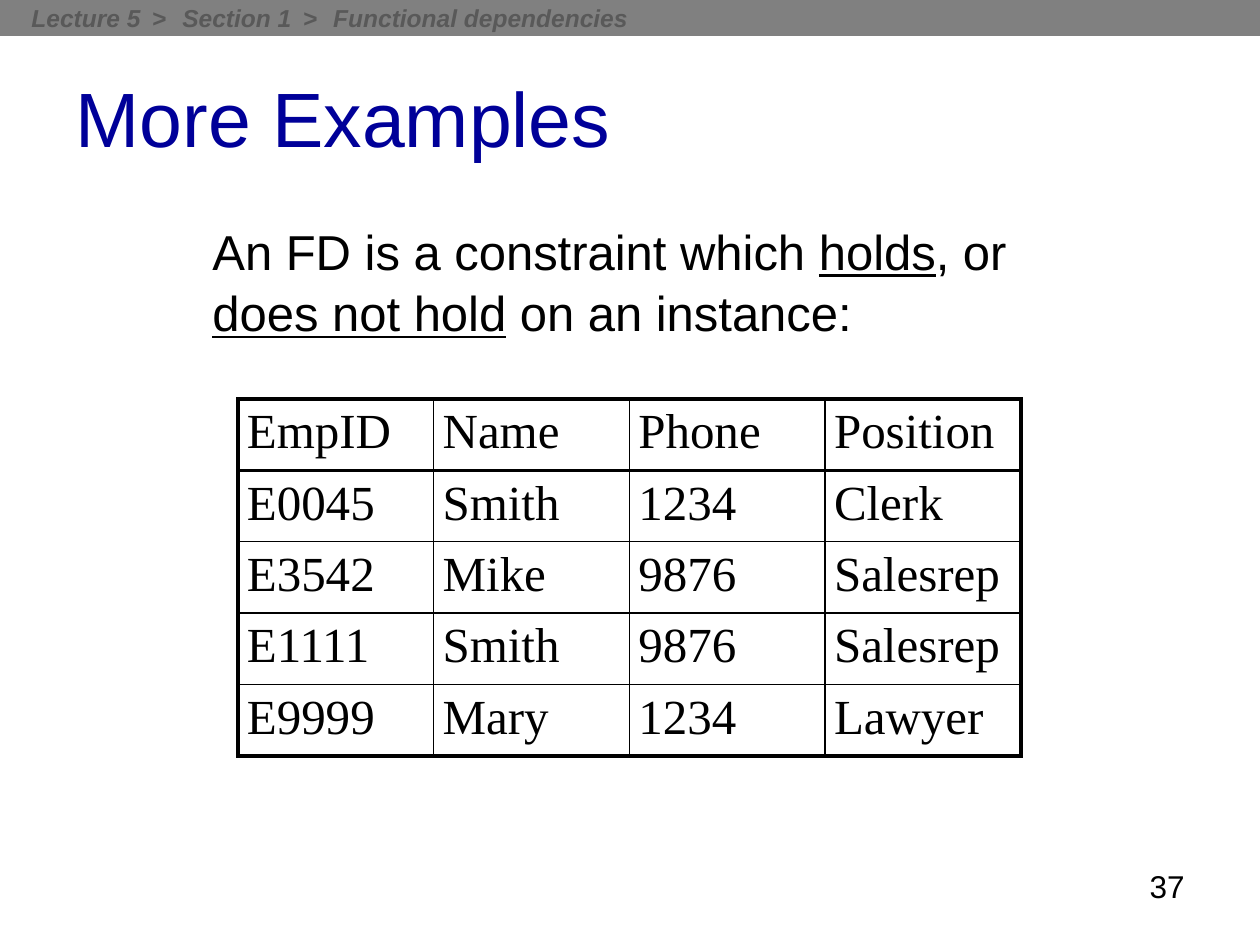
from pptx import Presentation
from pptx.dml.color import RGBColor
from pptx.enum.shapes import MSO_SHAPE as SHAPE
from pptx.enum.text import MSO_ANCHOR as ANCHOR, PP_ALIGN as ALIGN
from pptx.oxml import parse_xml
from pptx.oxml.ns import nsdecls
from pptx.util import Pt

PX = 914400 // 126  # EMU per px
BLACK = RGBColor(0x00, 0x00, 0x00)
NAVY = RGBColor(0x00, 0x00, 0x99)
GRAY = RGBColor(0x80, 0x80, 0x80)
DARK_GRAY = RGBColor(0x59, 0x59, 0x59)
SANS, SERIF = "Arial", "Times New Roman"
THIN, THICK = Pt(1), Pt(2.25)

ROWS = [
    ["EmpID", "Name", "Phone", "Position"],
    ["E0045", "Smith", "1234", "Clerk"],
    ["E3542", "Mike", "9876", "Salesrep"],
    ["E1111", "Smith", "9876", "Salesrep"],
    ["E9999", "Mary", "1234", "Lawyer"],
]


def emu(box):
    return [v * PX for v in box]


def add_run(p, text, size, color=BLACK, font=SANS, bold=None, italic=None, underline=None):
    r = p.add_run()
    r.text = text
    f = r.font
    f.name, f.size, f.color.rgb = font, Pt(size), color
    f.bold, f.italic, f.underline = bold, italic, underline
    return r


def add_textbox(slide, box, wrap=True):
    tf = slide.shapes.add_textbox(*emu(box)).text_frame
    tf.word_wrap = wrap
    return tf.paragraphs[0]


def add_breadcrumb(slide, box, parts):
    x, y, w, h = box
    sp = slide.shapes.add_shape(SHAPE.RECTANGLE, *emu(box))
    sp.shadow.inherit = False
    sp.fill.solid()
    sp.fill.fore_color.rgb = GRAY
    sp.line.fill.background()
    p = add_textbox(slide, (x + 19, y - 3, 624, h + 6), wrap=False)
    style = dict(size=14, color=DARK_GRAY, bold=True, italic=True)
    for i, part in enumerate(parts):
        if i:
            # Letter spacing widens the gaps around the separator
            r = add_run(p, " > ", **style)
            r.font._element.set("spc", "260")
        add_run(p, part, **style)


def add_title(slide, box, text):
    sp = slide.shapes.title
    sp.left, sp.top, sp.width, sp.height = emu(box)
    tf = sp.text_frame
    tf.vertical_anchor = ANCHOR.MIDDLE
    p = tf.paragraphs[0]
    p.alignment = ALIGN.LEFT
    add_run(p, text, 44, NAVY)


def add_statement(slide, box, pieces):
    p = add_textbox(slide, box)
    p.line_spacing = 1.05
    for text, underline in pieces:
        add_run(p, text, 28, underline=underline)


def set_borders(cell, **widths):
    tcPr = cell._tc.get_or_add_tcPr()
    for i, (side, width) in enumerate(widths.items()):
        # Borders come before the fill in a:tcPr
        tcPr.insert(i, parse_xml(
            f'<a:ln{side} {nsdecls("a")} w="{width}"><a:solidFill>'
            f'<a:srgbClr val="{BLACK}"/></a:solidFill></a:ln{side}>'))


def add_table(slide, box, rows):
    n_rows, n_cols = len(rows), len(rows[0])
    table = slide.shapes.add_table(n_rows, n_cols, *emu(box)).table
    table.first_row = table.horz_banding = False
    for i, row in enumerate(rows):
        for j, text in enumerate(row):
            cell = table.cell(i, j)
            cell.margin_left = cell.margin_right = 9 * PX
            cell.margin_top = cell.margin_bottom = 6 * PX
            cell.fill.background()
            add_run(cell.text_frame.paragraphs[0], text, 28, font=SERIF)
            # Thick outline and header rule, thin lines inside
            set_borders(
                cell,
                L=THICK if j == 0 else THIN,
                R=THICK if j == n_cols - 1 else THIN,
                T=THICK if i <= 1 else THIN,
                B=THICK if i in (0, n_rows - 1) else THIN)


def add_page_number(slide, box, number):
    p = add_textbox(slide, box)
    p.alignment = ALIGN.RIGHT
    add_run(p, number, 18)


def main():
    prs = Presentation()
    prs.slide_width, prs.slide_height = emu((1260, 945))
    slide = prs.slides.add_slide(prs.slide_layouts[5])  # Title Only

    add_page_number(slide, (903, 861, 294, 66), "37")
    add_title(slide, (63, 38, 1134, 158), "More Examples")
    add_statement(slide, (200, 212, 837, 132), [
        ("An FD is a constraint which ", False),
        ("holds", True),
        (", or ", False),
        ("does not hold", True),
        (" on an instance:", False),
    ])
    add_table(slide, (238, 399, 783, 357), ROWS)
    add_breadcrumb(slide, (0, 0, 1260, 36),
                   ["Lecture 5", "Section 1", "Functional dependencies"])
    prs.save("out.pptx")


if __name__ == "__main__":
    main()
